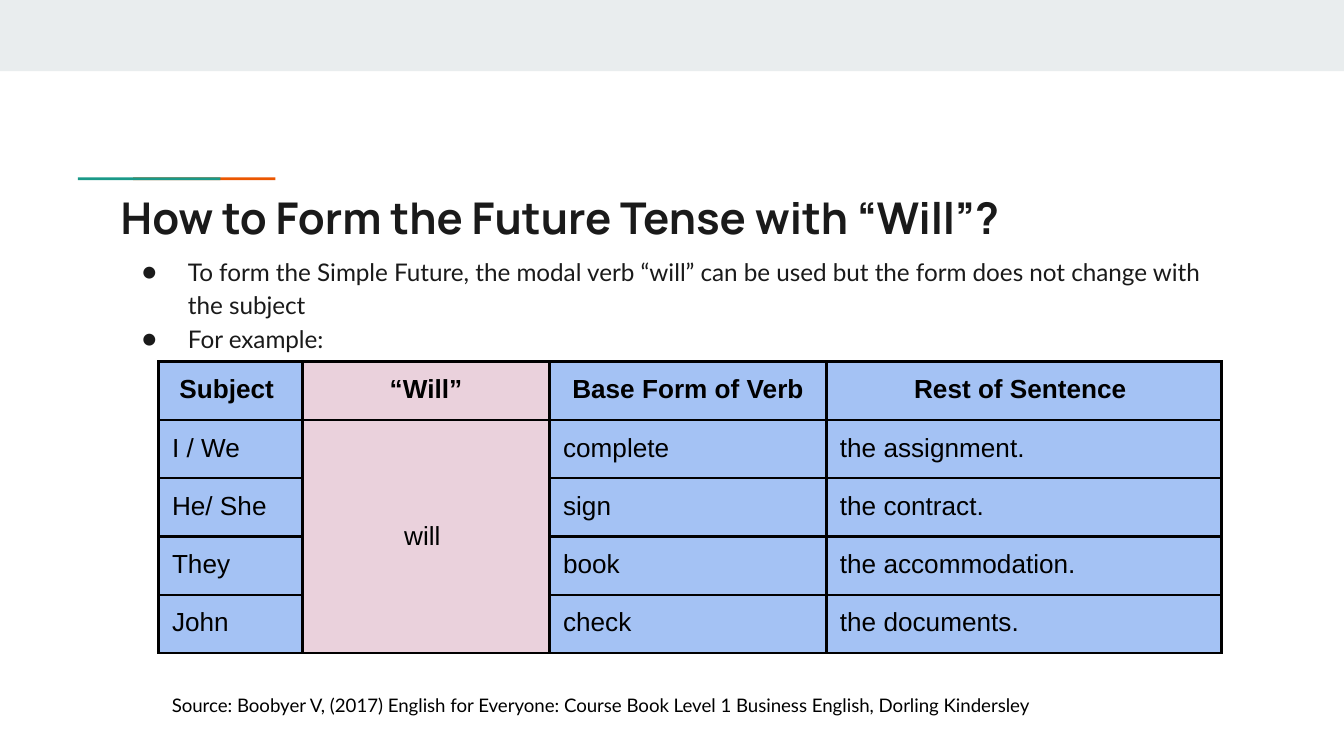
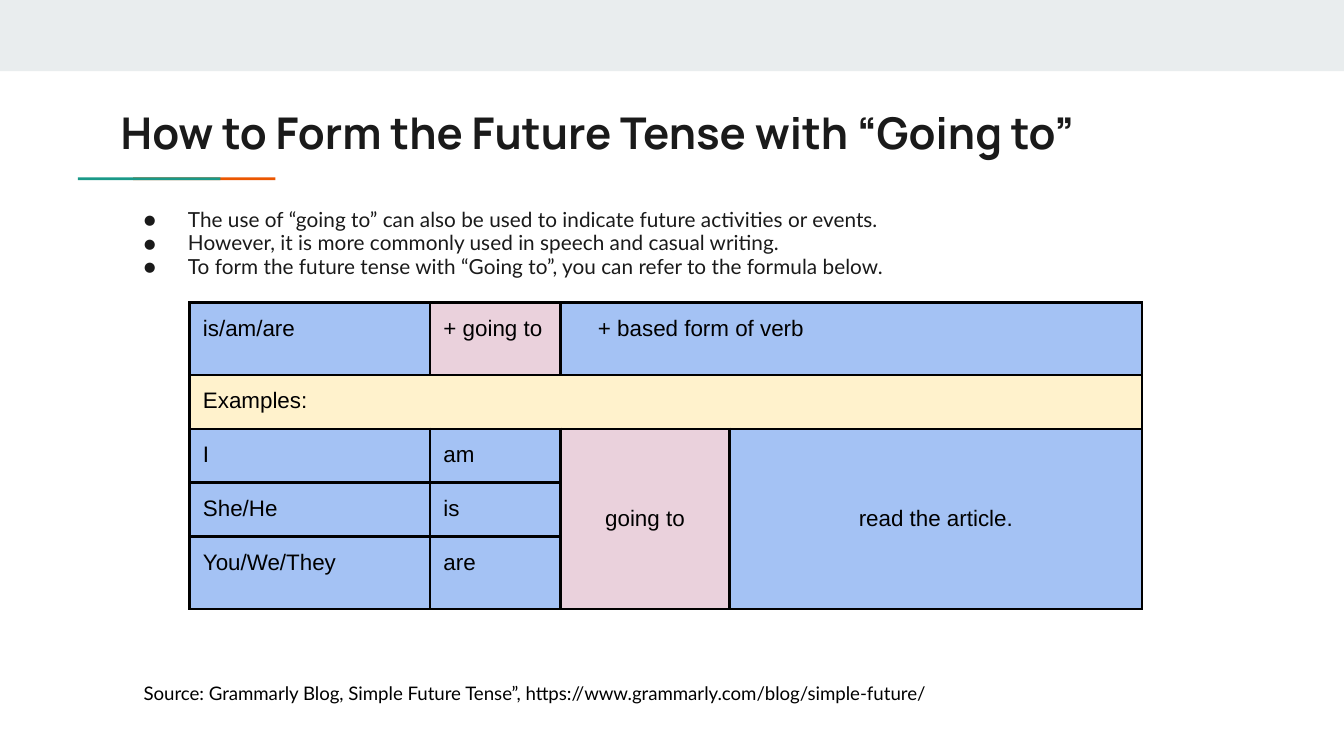
from lxml import etree
from pptx import Presentation
from pptx.dml.color import RGBColor
from pptx.enum.shapes import MSO_SHAPE
from pptx.enum.text import MSO_ANCHOR, PP_ALIGN
from pptx.oxml.ns import qn
from pptx.util import Inches, Pt

RECT = MSO_SHAPE.RECTANGLE
TOP, MIDDLE = MSO_ANCHOR.TOP, MSO_ANCHOR.MIDDLE
LEFT, CENTER = PP_ALIGN.LEFT, PP_ALIGN.CENTER

WHITE = RGBColor(0xFF, 0xFF, 0xFF)
BLACK = RGBColor(0x00, 0x00, 0x00)
INK = RGBColor(0x1A, 0x1A, 0x1A)
GREY = RGBColor(0xE9, 0xED, 0xEE)
ORANGE = RGBColor(0xEB, 0x56, 0x00)
GREEN = RGBColor(0x1A, 0x99, 0x88)
BLUE = RGBColor(0xA4, 0xC2, 0xF4)
PINK = RGBColor(0xEA, 0xD1, 0xDC)
CREAM = RGBColor(0xFF, 0xF2, 0xCC)

PAD = 0.1
EDGE = 0.8
WIDTH = 8.41


def add_bullet(para, hang, size):
    props = para._p.get_or_add_pPr()
    props.set("marL", str(Inches(0.5)))
    props.set("indent", str(-Inches(hang)))
    tint = etree.SubElement(props, qn("a:buClr"))
    etree.SubElement(tint, qn("a:srgbClr")).set("val", str(INK))
    etree.SubElement(props, qn("a:buSzPts")).set("val", str(round(size * 100)))
    etree.SubElement(props, qn("a:buFont")).set("typeface", "Lato")
    etree.SubElement(props, qn("a:buChar")).set("char", "●")


def write(frame, *lines, size, font="Lato", color=INK, bold=False,
          align=LEFT, space=1.0, hang=None):
    frame.word_wrap = True
    for i, line in enumerate(lines):
        para = frame.paragraphs[0] if i == 0 else frame.add_paragraph()
        para.line_spacing = space
        para.space_before = para.space_after = Pt(0)
        if hang:
            add_bullet(para, hang, size)
        para.alignment = align
        para.font.size = Pt(size)
        run = para.add_run()
        run.text = line
        run.font.size = Pt(size)
        run.font.name = font
        run.font.bold = bold
        run.font.color.rgb = color


def add_text(slide, x, y, w, h, *lines, **form):
    box = slide.shapes.add_textbox(Inches(x), Inches(y), Inches(w), Inches(h))
    frame = box.text_frame
    frame.margin_left = frame.margin_right = Inches(PAD)
    frame.margin_top = frame.margin_bottom = Inches(PAD)
    write(frame, *lines, **form)
    return box


def add_bar(slide, x, y, w, h, color):
    bar = slide.shapes.add_shape(RECT, Inches(x), Inches(y), Inches(w), Inches(h))
    bar.shadow.inherit = False
    bar.fill.solid()
    bar.fill.fore_color.rgb = color
    bar.line.fill.background()


def add_slide(deck, title, top):
    slide = deck.slides.add_slide(deck.slide_layouts[6])
    add_bar(slide, 0, 0, 10, 0.53, GREY)
    add_bar(slide, 0.99, 1.32, 1.06, 0.02, ORANGE)
    add_bar(slide, 0.58, 1.32, 1.06, 0.02, GREEN)
    add_text(slide, EDGE, top, WIDTH, 0.59, title,
             size=23.4, font="Manrope", bold=True)
    return slide


def add_source(slide, x, y, w, text):
    add_text(slide, x, y, w, 0.37, text, size=10, color=BLACK)


def add_edges(cell):
    props = cell._tc.get_or_add_tcPr()
    for side in ("lnL", "lnR", "lnT", "lnB"):
        line = etree.SubElement(props, qn("a:" + side), w=str(Pt(1.5)))
        fill = etree.SubElement(line, qn("a:solidFill"))
        etree.SubElement(fill, qn("a:srgbClr")).set("val", str(BLACK))


def add_grid(slide, x, y, cols, rows, texts, spans, tint, size, head=False):
    grid = slide.shapes.add_table(
        len(rows), len(cols), Inches(x), Inches(y),
        Inches(sum(cols)), Inches(sum(rows))).table
    grid.first_row = False
    grid.horz_banding = False
    for col, w in zip(grid.columns, cols):
        col.width = Inches(w)
    for row, h in zip(grid.rows, rows):
        row.height = Inches(h)
    for r, line in enumerate(texts):
        for c, text in enumerate(line):
            cell = grid.cell(r, c)
            tall = spans.get((r, c), (1, 1))[0] > 1
            top = head and r == 0
            add_edges(cell)
            cell.fill.solid()
            cell.fill.fore_color.rgb = tint(r, c)
            cell.margin_left = cell.margin_right = Inches(PAD)
            cell.margin_top = cell.margin_bottom = Inches(PAD)
            cell.vertical_anchor = MIDDLE if tall else TOP
            if text:
                write(cell.text_frame, text, size=size, font="Arial",
                      color=BLACK, bold=top, align=CENTER if tall or top else LEFT)
    for (r, c), (high, wide) in spans.items():
        grid.cell(r, c).merge(grid.cell(r + high - 1, c + wide - 1))
    return grid


def will_tint(r, c):
    return PINK if c == 1 else BLUE


def going_tint(r, c):
    if r == 1:
        return CREAM
    return PINK if (r == 0 and c == 1) or (r > 1 and c == 2) else BLUE


def add_will(deck):
    slide = add_slide(deck, "How to Form the Future Tense with “Will”?", 1.32)
    add_text(slide, EDGE, 1.78, WIDTH, 2.47,
             "To form the Simple Future, the modal verb “will” can be used "
             "but the form does not change with the subject",
             "For example:",
             size=13, space=1.15, hang=0.34)
    texts = [
        ("Subject ", "“Will”", "Base Form of Verb", "Rest of Sentence "),
        ("I / We", "will ", "complete", "the assignment."),
        ("He/ She", "", "sign", "the contract."),
        ("They", "", "book", "the accommodation."),
        ("John", "", "check", "the documents."),
    ]
    add_grid(slide, 1.18, 2.69, (1.07, 1.84, 2.06, 2.94),
             [0.31] + [0.42] * 4, texts, {(1, 1): (4, 1)}, will_tint, 14, head=True)
    add_source(slide, 1.18, 5.08, 7.4,
               "Source: Boobyer V, (2017) English for Everyone: "
               "Course Book Level 1 Business English, Dorling Kindersley")


def add_going(deck):
    slide = add_slide(deck, "How to Form the Future Tense with “Going to”", 0.69)
    body = add_text(slide, EDGE, 1.45, WIDTH, 2.47,
                    "The use of “going to” can also be used to indicate "
                    "future activities or events.",
                    "However, it is more commonly used in speech and casual writing.",
                    "To form the future tense with “Going to”, "
                    "you can refer to the formula below.",
                    size=11.1, space=0.95, hang=0.33)
    body.line.color.rgb = WHITE
    body.line.width = Pt(0.75)
    texts = [
        ("is/am/are", "+ going to", "+ based form of verb", ""),
        ("Examples:", "", "", ""),
        ("I", "am", "going to", "read the article."),
        ("She/He", "is", "", ""),
        ("You/We/They", "are", "", ""),
    ]
    spans = {(0, 2): (1, 2), (1, 0): (1, 4), (2, 2): (3, 1), (2, 3): (3, 1)}
    grid = add_grid(slide, 1.41, 2.25, (1.79, 0.97, 1.26, 3.07),
                    (0.54, 0.36, 0.36, 0.36, 0.54), texts, spans, going_tint, 12)
    grid.cell(0, 2).margin_left = Inches(0.28)
    add_source(slide, 0.97, 4.99, WIDTH,
               "Source: Grammarly Blog, Simple Future Tense”, "
               "https://www.grammarly.com/blog/simple-future/")


def main():
    deck = Presentation()
    deck.slide_width = Inches(10)
    deck.slide_height = Inches(10) * 9 // 16
    add_will(deck)
    add_going(deck)
    deck.save("out.pptx")


if __name__ == "__main__":
    main()
